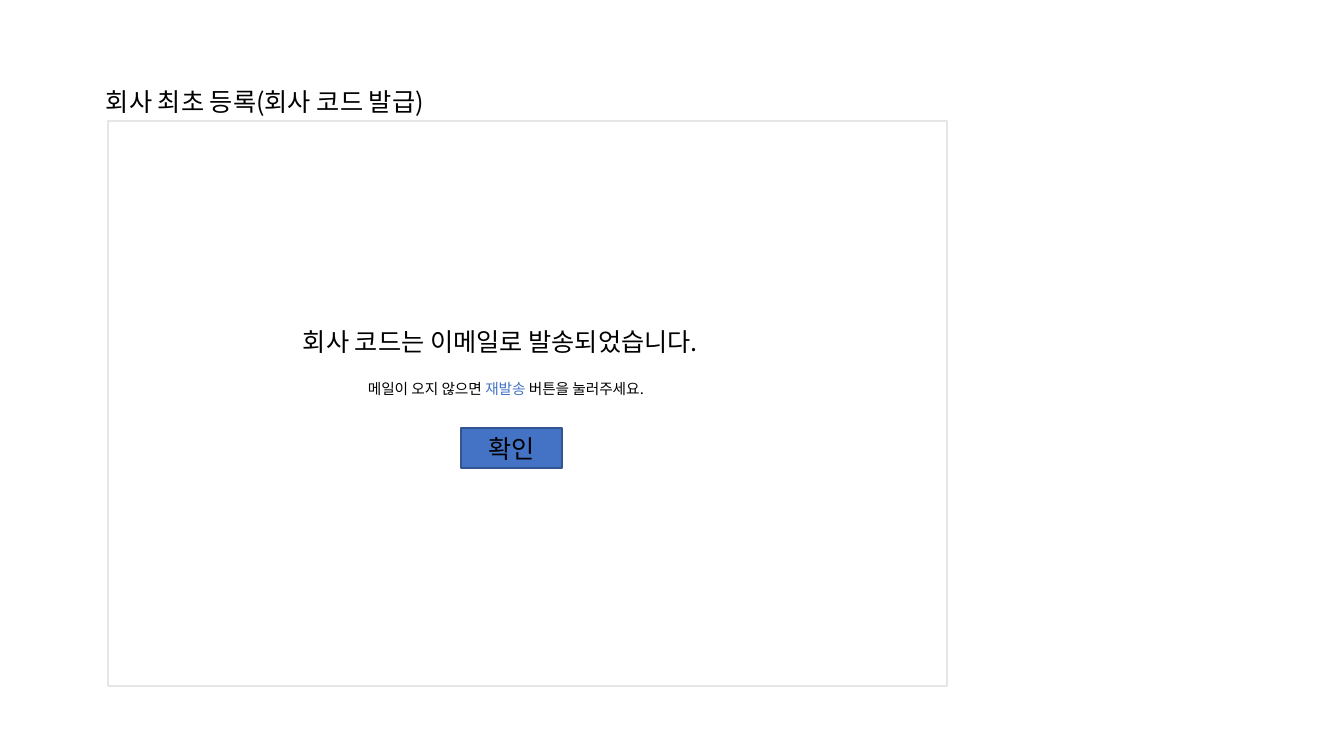
import pptx
import pptx.util
import pptx.dml.color
import pptx.enum.shapes
import pptx.enum.text
import pptx.oxml.ns
import lxml.etree

PX = 914400 / 100.8
FONT = "Noto Sans CJK KR"
COLORS = {"paper": "FFFFFF", "border": "E7E6E6", "ink": "000000",
          "accent": "4472C4", "accent_edge": "325491"}


def emu(*lengths):
    """Turn pixel lengths into EMU."""
    return [pptx.util.Emu(round(n * PX)) for n in lengths]


def rgb(name):
    """Look up a named colour."""
    return pptx.dml.color.RGBColor.from_string(COLORS[name])


class Page:
    """Holds the style and the current slide."""

    def __init__(self, slide):
        """Start drawing on the given slide."""
        self.s = slide

    def add_runs(self, sp, runs, size, frame, align=None):
        """Put one paragraph of (text, colour) runs into a shape."""
        tf = sp.text_frame
        for name, value in frame.items():
            setattr(tf, name, value)
        p = tf.paragraphs[0]
        p.alignment = align
        for text, color in runs:
            r = p.add_run()
            r.text = text
            for name, value in {"name": FONT, "size": pptx.util.Pt(size)}.items():
                setattr(r.font, name, value)
            r.font.color.rgb = rgb(color)
            ea = lxml.etree.Element(pptx.oxml.ns.qn("a:ea"), typeface=FONT)
            r._r.get_or_add_rPr().append(ea)

    def box(self, x, y, w, h, fill, line):
        """Draw an outlined rectangle."""
        sp = self.s.shapes.add_shape(
            pptx.enum.shapes.MSO_SHAPE.RECTANGLE, *emu(x, y, w, h))
        sp.shadow.inherit = False
        sp.fill.solid()
        sp.fill.fore_color.rgb = rgb(fill)
        sp.line.color.rgb = rgb(line)
        sp.line.width = pptx.util.Pt(1)
        return sp

    def text(self, x, y, w, h, runs, size=18):
        """Place a single line of text."""
        sp = self.s.shapes.add_textbox(*emu(x, y, w, h))
        self.add_runs(sp, runs, size, {
            "word_wrap": False,
            "auto_size": pptx.enum.text.MSO_AUTO_SIZE.SHAPE_TO_FIT_TEXT})

    def button(self, x, y, w, h, label):
        """Draw a button with a centred label."""
        sp = self.box(x, y, w, h, "accent", "accent_edge")
        self.add_runs(sp, [(label, "ink")], 18,
                      {"vertical_anchor": pptx.enum.text.MSO_ANCHOR.MIDDLE},
                      pptx.enum.text.PP_ALIGN.CENTER)


prs = pptx.Presentation()
prs.slide_width, prs.slide_height = emu(1344, 756)
page = Page(prs.slides.add_slide(prs.slide_layouts[6]))

page.box(108, 121, 839, 565, "paper", "border")
page.text(293, 321, 461, 40, [("회사 코드는 이메일로 발송되었습니다.", "ink")])
page.text(358, 375, 332, 28, [("메일이 오지 않으면 ", "ink"), ("재발송", "accent"),
                              (" 버튼을 눌러주세요.", "ink")], 10.5)
page.button(461, 428, 101, 40, "확인")
page.text(96, 81, 377, 40, [("회사 최초 등록(회사 코드 발급)", "ink")])

prs.save("out.pptx")
